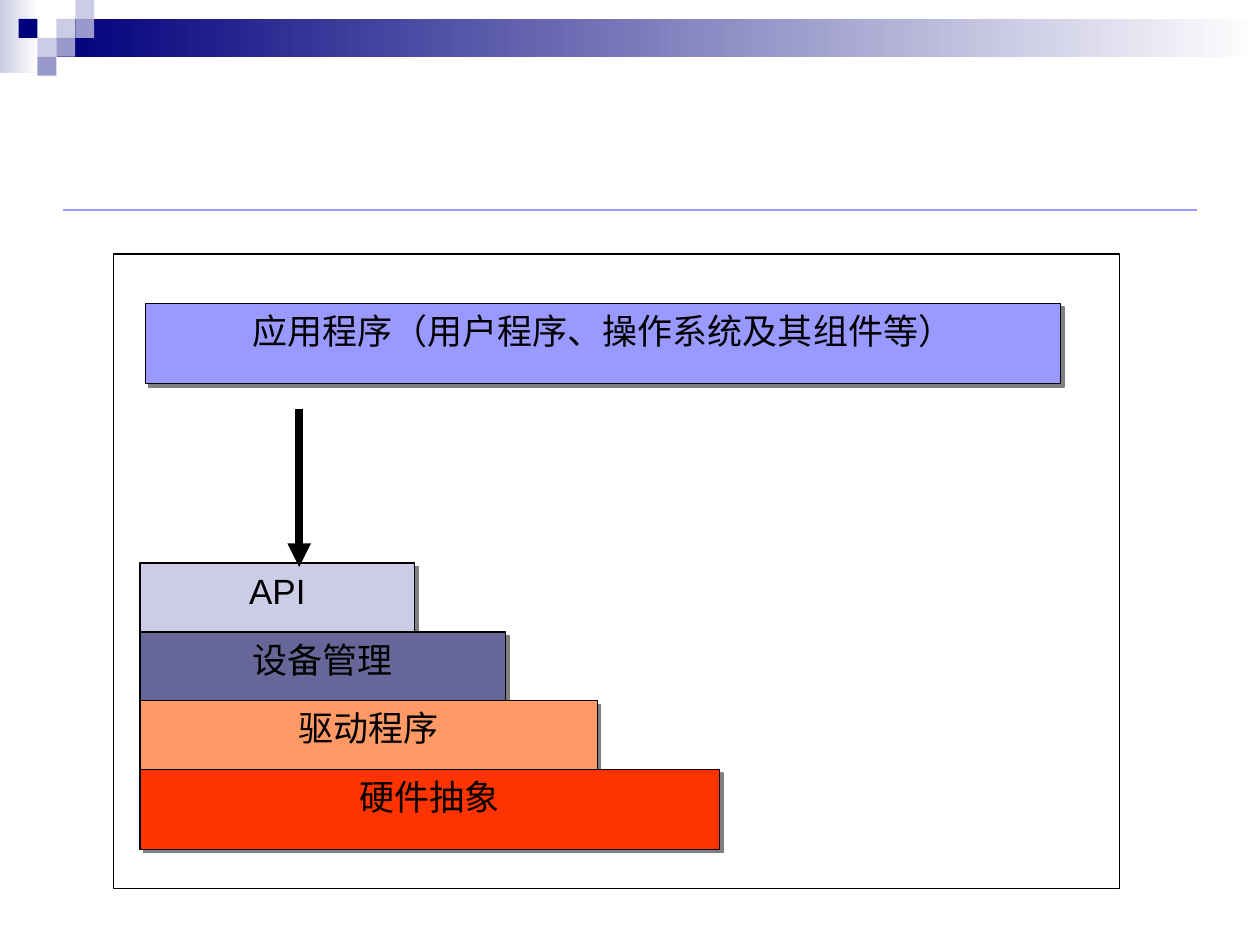
from lxml import etree
from pptx import Presentation
from pptx.dml.color import RGBColor
from pptx.enum import shapes, text
from pptx.oxml import ns
from pptx.util import Pt

NAVY = RGBColor(0x00, 0x00, 0x7D)
PALE = RGBColor(0xCC, 0xCC, 0xE6)
MID = RGBColor(0x99, 0x99, 0xCC)
PERIWINKLE = RGBColor(0x99, 0x99, 0xFF)
SLATE = RGBColor(0x66, 0x66, 0x99)
ORANGE = RGBColor(0xFF, 0x99, 0x66)
RED = RGBColor(0xFF, 0x33, 0x00)
BLACK = RGBColor(0, 0, 0)
WHITE = RGBColor(0xFF, 0xFF, 0xFF)

# Header: gradient bands (left, top, width, height, start colour) and small squares
BANDS = [(0, 0, 22.3, 41.8, PALE), (32.4, 10.8, 687.6, 21.6, NAVY)]
SQUARE = 10.8
SQUARES = [  # column, row, colour
    (3, 1, PALE), (4, 0, PALE), (4, 1, MID), (2, 2, PALE),
    (1, 1, NAVY), (3, 2, MID), (2, 3, MID),
]

# Layers from top to bottom: label, width, colour
LAYERS = [
    ("API", 157, PALE),
    ("设备管理", 209, SLATE),
    ("驱动程序", 261.4, ORANGE),
    ("硬件抽象", 331.2, RED),
]
LAYER_LEFT, LAYER_TOP, LAYER_STEP, BAR_HEIGHT = 80, 321.8, 39.3, 45.6
APPLICATION = "应用程序（用户程序、操作系统及其组件等）"


def add_rect(s, left, top, width, height, color=None, outline=False):
    sp = s.shapes.add_shape(shapes.MSO_SHAPE.RECTANGLE,
                            Pt(left), Pt(top), Pt(width), Pt(height))
    sp.shadow.inherit = False
    if color is not None:
        sp.fill.solid()
        sp.fill.fore_color.rgb = color
    if outline:
        sp.line.color.rgb = BLACK
        sp.line.width = Pt(0.75)
    else:
        sp.line.fill.background()
    return sp


def add_band(s, left, top, width, height, start):
    """Add a rectangle that fades from the start colour to white."""
    sp = add_rect(s, left, top, width, height)
    sp.fill.gradient()
    sp.fill.gradient_angle = 0
    for stop, color, position in zip(sp.fill.gradient_stops, (start, WHITE), (0, 1)):
        stop.color.rgb = color
        stop.position = position


def add_bar(s, label, left, top, width, color):
    """Add an outlined, labelled bar with a hard grey shadow."""
    sp = add_rect(s, left, top, width, BAR_HEIGHT, color, outline=True)
    effects = sp._element.spPr.find(ns.qn("a:effectLst"))
    shadow = etree.SubElement(effects, ns.qn("a:outerShdw"), dist=str(Pt(2.8)),
                              dir="2700000", algn="ctr", rotWithShape="0")
    etree.SubElement(shadow, ns.qn("a:srgbClr"), val="808080")
    tf = sp.text_frame
    tf.word_wrap = True
    tf.vertical_anchor = text.MSO_ANCHOR.TOP
    p = tf.paragraphs[0]
    p.text = label
    p.alignment = text.PP_ALIGN.CENTER
    p.font.name = "Arial"
    p.font.size = Pt(20)
    p.font.color.rgb = BLACK


def add_line(s, x1, y1, x2, y2, color, width, arrow=False):
    c = s.shapes.add_connector(shapes.MSO_CONNECTOR.STRAIGHT,
                               Pt(x1), Pt(y1), Pt(x2), Pt(y2))
    c.line.color.rgb = color
    c.line.width = Pt(width)
    if arrow:
        etree.SubElement(c.line._get_or_add_ln(), ns.qn("a:tailEnd"), type="triangle")
    etree.SubElement(c._element.spPr, ns.qn("a:effectLst"))


def main():
    prs = Presentation()
    prs.slide_width, prs.slide_height = Pt(720), Pt(540)
    s = prs.slides.add_slide(prs.slide_layouts[6])

    for band in BANDS:
        add_band(s, *band)
    for column, row, color in SQUARES:
        add_rect(s, column * SQUARE - 0.2, row * SQUARE, SQUARE, SQUARE, color)
    add_line(s, 36, 120, 684, 120, PERIWINKLE, 1.5)

    add_rect(s, 65, 145.2, 574.8, 362.4, WHITE, outline=True)
    for i, (label, width, color) in enumerate(LAYERS):
        add_bar(s, label, LAYER_LEFT, LAYER_TOP + i * LAYER_STEP, width, color)
    add_bar(s, APPLICATION, 83, 173.5, 523, PERIWINKLE)
    add_line(s, 171, 233.5, 171, 324, BLACK, 4.5, arrow=True)

    prs.save("out.pptx")


if __name__ == "__main__":
    main()
